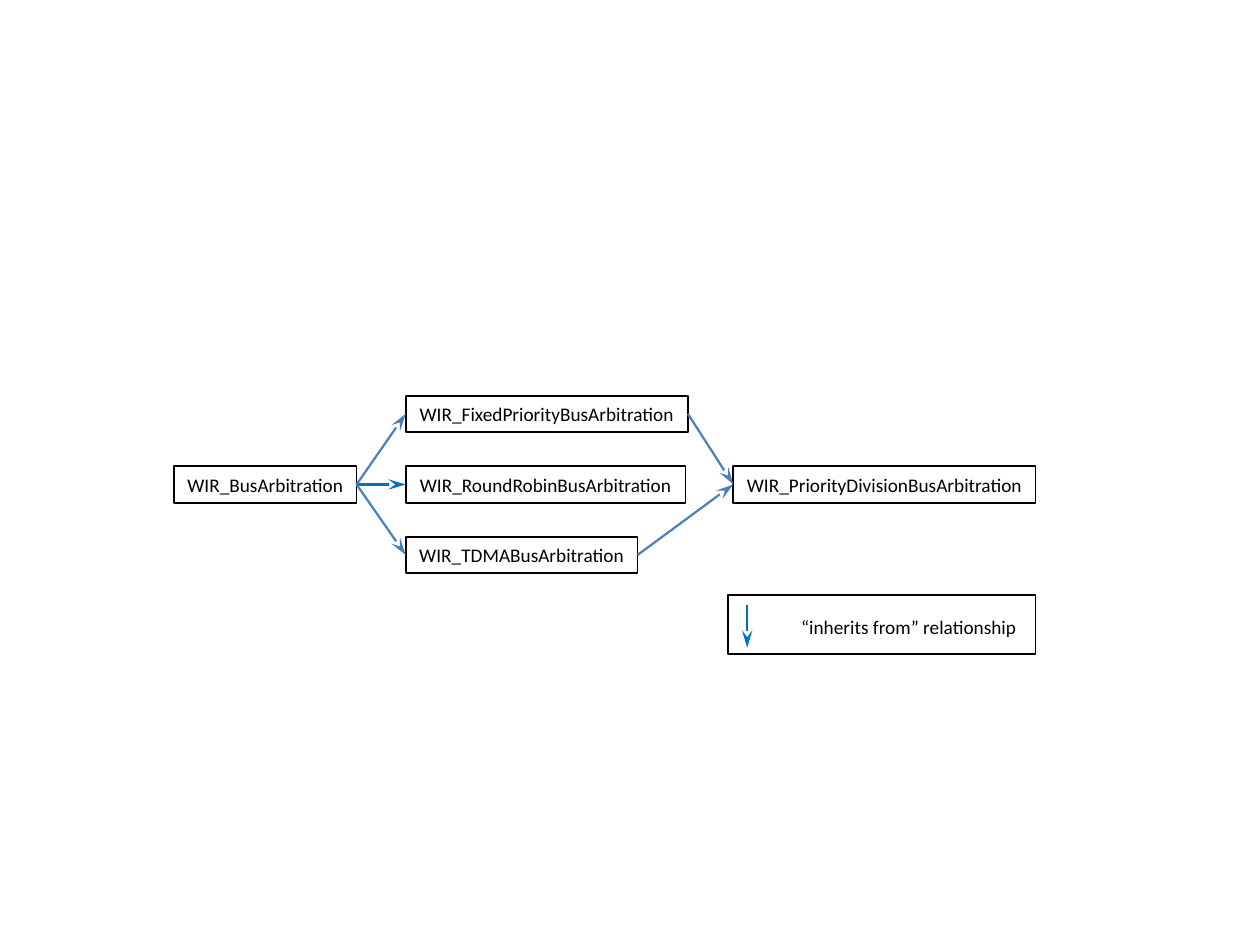
from dataclasses import dataclass

from lxml import etree
from pptx import Presentation
from pptx.dml.color import RGBColor
from pptx.enum import shapes, text
from pptx.oxml import ns
from pptx.util import Inches, Pt

# Grid: left edges of the inheritance levels, evenly spaced rows
COLUMNS = (1.38, 3.22, 5.82)
FIRST_ROW, ROW_PITCH, BOX_HEIGHT = 3.14, 0.56, 0.29
RIGHT, LEFT = 3, 1  # connection sites of a rectangle
BLACK, BRIGHT_BLUE, SOFT_BLUE = "000000", "0070C0", "4B7EBC"


@dataclass(frozen=True)
class ClassBox:
    name: str
    column: int
    row: int
    width: float


@dataclass(frozen=True)
class Inheritance:
    source: str
    target: str
    color: str = SOFT_BLUE


BASE = "WIR_BusArbitration"
ROUND_ROBIN = "WIR_RoundRobinBusArbitration"
FIXED = "WIR_FixedPriorityBusArbitration"
TDMA = "WIR_TDMABusArbitration"
DIVISION = "WIR_PriorityDivisionBusArbitration"

CLASSES = (
    ClassBox(BASE, 0, 1, 1.45),
    ClassBox(ROUND_ROBIN, 1, 1, 2.22),
    ClassBox(FIXED, 1, 0, 2.24),
    ClassBox(TDMA, 1, 2, 1.84),
    ClassBox(DIVISION, 2, 1, 2.4),
)
RELATIONS = (
    Inheritance(BASE, ROUND_ROBIN, BRIGHT_BLUE),
    Inheritance(BASE, FIXED),
    Inheritance(BASE, TDMA),
    Inheritance(FIXED, DIVISION),
    Inheritance(TDMA, DIVISION),
)


def rgb(value: str) -> RGBColor:
    return RGBColor.from_string(value)


def write_label(shape, label: str, alignment) -> None:
    frame = shape.text_frame
    frame.text = label
    frame.word_wrap = False
    frame.auto_size = text.MSO_AUTO_SIZE.SHAPE_TO_FIT_TEXT
    para = frame.paragraphs[0]
    para.alignment = alignment
    font = para.runs[0].font
    font.name, font.size = "Calibri", Pt(11)
    font.color.rgb = rgb(BLACK)


def draw_frame(container, left: float, top: float, width: float, height: float):
    box = container.add_shape(shapes.MSO_SHAPE.RECTANGLE, Inches(left),
                              Inches(top), Inches(width), Inches(height))
    box.shadow.inherit = False
    box.fill.background()
    box.line.color.rgb = rgb(BLACK)
    box.line.width = Pt(1)
    return box


def draw_class(page, item: ClassBox):
    box = draw_frame(page.shapes, COLUMNS[item.column],
                     FIRST_ROW + item.row * ROW_PITCH, item.width, BOX_HEIGHT)
    write_label(box, item.name, text.PP_ALIGN.CENTER)
    return box


def draw_arrow(container, color: str, start=(0, 0), end=(0, 0)):
    arrow = container.add_connector(shapes.MSO_CONNECTOR.STRAIGHT,
                                    *map(Inches, start + end))
    arrow.line.color.rgb = rgb(color)
    arrow.line.width = Pt(1.25)
    etree.SubElement(arrow.line._get_or_add_ln(), ns.qn("a:tailEnd"),
                     type="stealth", w="med", len="lg")
    etree.SubElement(arrow._element.spPr, ns.qn("a:effectLst"))
    return arrow


def draw_legend(page) -> None:
    group = page.shapes.add_group_shape().shapes
    draw_arrow(group, BRIGHT_BLUE, (5.93, 4.8), (5.93, 5.14))
    caption = group.add_textbox(Inches(6.26), Inches(4.83),
                                Inches(1.92), Inches(BOX_HEIGHT))
    write_label(caption, "“inherits from” relationship", text.PP_ALIGN.LEFT)
    draw_frame(group, 5.78, 4.72, 2.44, 0.47)


def main() -> None:
    deck = Presentation()
    deck.slide_width, deck.slide_height = Inches(10), Inches(7.5)
    page = deck.slides.add_slide(deck.slide_layouts[6])

    # Legend
    draw_legend(page)

    # Class hierarchy
    boxes = {item.name: draw_class(page, item) for item in CLASSES}
    for relation in RELATIONS:
        arrow = draw_arrow(page.shapes, relation.color)
        arrow.begin_connect(boxes[relation.source], RIGHT)
        arrow.end_connect(boxes[relation.target], LEFT)

    deck.save("out.pptx")


if __name__ == "__main__":
    main()
